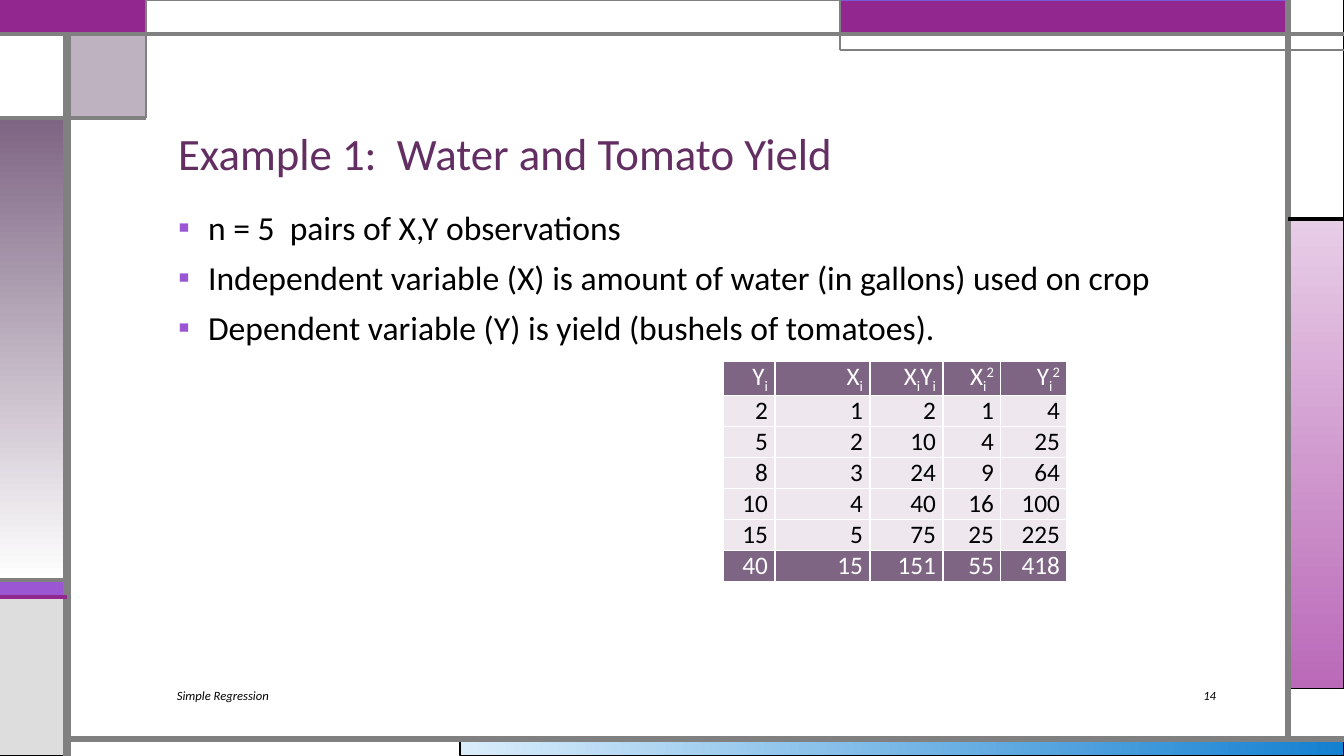
from lxml import etree
from pptx import Presentation
from pptx.dml.color import RGBColor as RGB
from pptx.enum.shapes import MSO_CONNECTOR as LINK, MSO_SHAPE as SHAPE
from pptx.enum.text import MSO_ANCHOR as ANCHOR, MSO_AUTO_SIZE as FIT, PP_ALIGN as ALIGN
from pptx.oxml.ns import qn
from pptx.util import Emu, Pt

COLORS = {
    "white": "FFFFFF", "black": "000000", "gray": "808080", "pale": "DDDDDD",
    "plum": "92278F", "mauve": "7E6583", "violet": "9B57D3", "iris": "755DD9",
    "title": "632E62", "cell": "EEE8EE", "sky": "DAEDFB", "blue": "1480D1",
    "pink": "E8CDE7", "rose": "BA69B8",
}
RGBS = {name: RGB.from_string(code) for name, code in COLORS.items()}
SCALE = 914400 / 100.8


def px(*sizes):
    """Turn pixel lengths into a list of EMU lengths."""
    return [Emu(round(size * SCALE)) for size in sizes]


def write(para, text, size, color, italic=False):
    run = para.add_run()
    run.text = text
    font = run.font
    font.name, font.size = "Calibri", Pt(size)
    font.bold, font.italic = False, italic
    font.color.rgb = RGBS[color]
    return run


deck = Presentation()
deck.slide_width, deck.slide_height = px(1344, 756)
slide = deck.slides.add_slide(deck.slide_layouts[1])
shapes = slide.shapes

# Frame panels: box, fill (two names and an angle make a gradient), line, width
panels = [
    ((460, 739, 884, 17), ("sky", "blue", 0), "black", 0.75),
    ((1288, 219, 56, 470), ("pink", "rose", 270), "black", 0.75),
    ((0, 580, 67, 17), "violet", "black", 0.75),
    ((0, 597, 67, 159), "pale", "black", 0.75),
    ((1288, 0, 56, 219), "white", "black", 0.75),
    ((840, 0, 448, 34), "plum", "iris", 0.75),
    ((67, 34, 79, 84), "mauve", "black", 0.75),
    ((0, 118, 67, 462), ("mauve", "white", 270), "black", 0.75),
    ((0, 34, 67, 84), "white", "black", 0.75),
    ((0, 0, 146, 34), "plum", "plum", 1.5),
    ((146, 0, 694, 34), "white", "gray", 0.75),
]
for box, paint, edge, width in panels:
    panel = shapes.add_shape(SHAPE.RECTANGLE, *px(*box))
    panel.shadow.inherit = False
    panel.line.color.rgb, panel.line.width = RGBS[edge], Pt(width)
    fill = panel.fill
    if isinstance(paint, tuple):
        *names, angle = paint
        fill.gradient()
        fill.gradient_angle = angle
        for stop, name, place in zip(fill.gradient_stops, names, (0, 1)):
            stop.color.rgb, stop.position = RGBS[name], place
    else:
        fill.solid()
        fill.fore_color.rgb = RGBS[paint]
    if paint == "mauve":
        tint = panel._element.spPr.find(qn("a:solidFill"))[0]
        etree.SubElement(tint, qn("a:alpha"), val="50000")

# Frame rules: ends, colour, width
rules = [
    ((67, 756, 67, 34), "gray", 6),
    ((67, 739, 1344, 739), "gray", 4.5),
    ((1288, 739, 1288, 0), "gray", 4.5),
    ((0, 34, 1344, 34), "gray", 3),
    ((1344, 50, 840, 50), "gray", 1.5),
    ((840, 50, 840, 0), "gray", 1.5),
    ((1288, 219, 1344, 219), "black", 2.25),
    ((146, 0, 146, 118), "gray", 1.5),
    ((146, 118, 0, 118), "gray", 2.25),
    ((67, 580, 0, 580), "gray", 2.25),
    ((67, 597, 0, 597), "plum", 2.25),
]
for ends, color, width in rules:
    rule = shapes.add_connector(LINK.STRAIGHT, *px(*ends))
    rule.line.color.rgb, rule.line.width = RGBS[color], Pt(width)
    etree.SubElement(rule._element.spPr, qn("a:effectLst"))

# Title and list
title, body = shapes.title, slide.placeholders[1]
for holder, box, anchor in [
    (title, (168, 59, 1058, 126), ANCHOR.BOTTOM),
    (body, (168, 202, 1058, 462), ANCHOR.TOP),
]:
    holder.left, holder.top, holder.width, holder.height = px(*box)
    frame = holder.text_frame
    frame.auto_size, frame.word_wrap = FIT.NONE, True
    frame.vertical_anchor = anchor

para = title.text_frame.paragraphs[0]
para.alignment, para.line_spacing = ALIGN.LEFT, 0.9
write(para, "Example 1:  Water and Tomato Yield", 32, "title")

points = [
    "n = 5  pairs of X,Y observations",
    "Independent variable (X) is amount of water (in gallons) used on crop",
    "Dependent variable (Y) is yield (bushels of tomatoes).",
]
frame = body.text_frame
indent = px(30)[0]
for k, point in enumerate(points):
    para = frame.add_paragraph() if k else frame.paragraphs[0]
    props = para._p.get_or_add_pPr()
    props.set("marL", str(indent))
    props.set("indent", str(-indent))
    tint = etree.SubElement(props, qn("a:buClr"))
    etree.SubElement(tint, qn("a:srgbClr"), val=COLORS["violet"])
    etree.SubElement(props, qn("a:buChar"), char="▪")
    para.space_before = Pt(6.8 if k else 0)
    write(para, point, 24, "black")

# Table of yields, products and squares, closed by a row of sums
heads = ["Yi", "Xi", "XiYi", "Xi2", "Yi2"]
shifts = {"i": "-25000", "2": "30000"}
pairs = [(2, 1), (5, 2), (8, 3), (10, 4), (15, 5)]
rows = [(y, x, x * y, x * x, y * y) for y, x in pairs]
rows = [heads, *rows, [sum(col) for col in zip(*rows)]]
widths = px(52, 95, 73, 58, 66)
high = px(31)[0]

grid = shapes.add_table(
    len(rows), len(heads), *px(723, 361), sum(widths), high * len(rows)
).table
grid.first_row = grid.horz_banding = False
for col, width in zip(grid.columns, widths):
    col.width = width
for r, row in enumerate(rows):
    grid.rows[r].height = high
    dark = r in (0, len(rows) - 1)
    for c, value in enumerate(row):
        cell = grid.cell(r, c)
        cell.margin_left, cell.margin_right = px(7, 7)
        cell.margin_top = cell.margin_bottom = 0
        props = cell._tc.get_or_add_tcPr()
        for side in "LRTB":
            edge = etree.SubElement(props, qn("a:ln" + side), w=str(Pt(1)))
            paint = etree.SubElement(edge, qn("a:solidFill"))
            etree.SubElement(paint, qn("a:srgbClr"), val=COLORS["white"])
        cell.fill.solid()
        cell.fill.fore_color.rgb = RGBS["mauve" if dark else "cell"]
        para = cell.text_frame.paragraphs[0]
        para.alignment = ALIGN.RIGHT
        for part in value if r == 0 else [str(value)]:
            run = write(para, part, 18, "white" if dark else "black")
            if r == 0 and part in shifts:
                run._r.get_or_add_rPr().set("baseline", shifts[part])

# Footer and page number
for text, box, align in [
    ("Simple Regression", (167, 680, 757, 30), ALIGN.LEFT),
    ("14", (1117, 680, 109, 30), ALIGN.RIGHT),
]:
    frame = shapes.add_textbox(*px(*box)).text_frame
    frame.word_wrap, frame.vertical_anchor = True, ANCHOR.MIDDLE
    para = frame.paragraphs[0]
    para.alignment = align
    write(para, text, 9, "black", italic=True)

deck.save("out.pptx")
